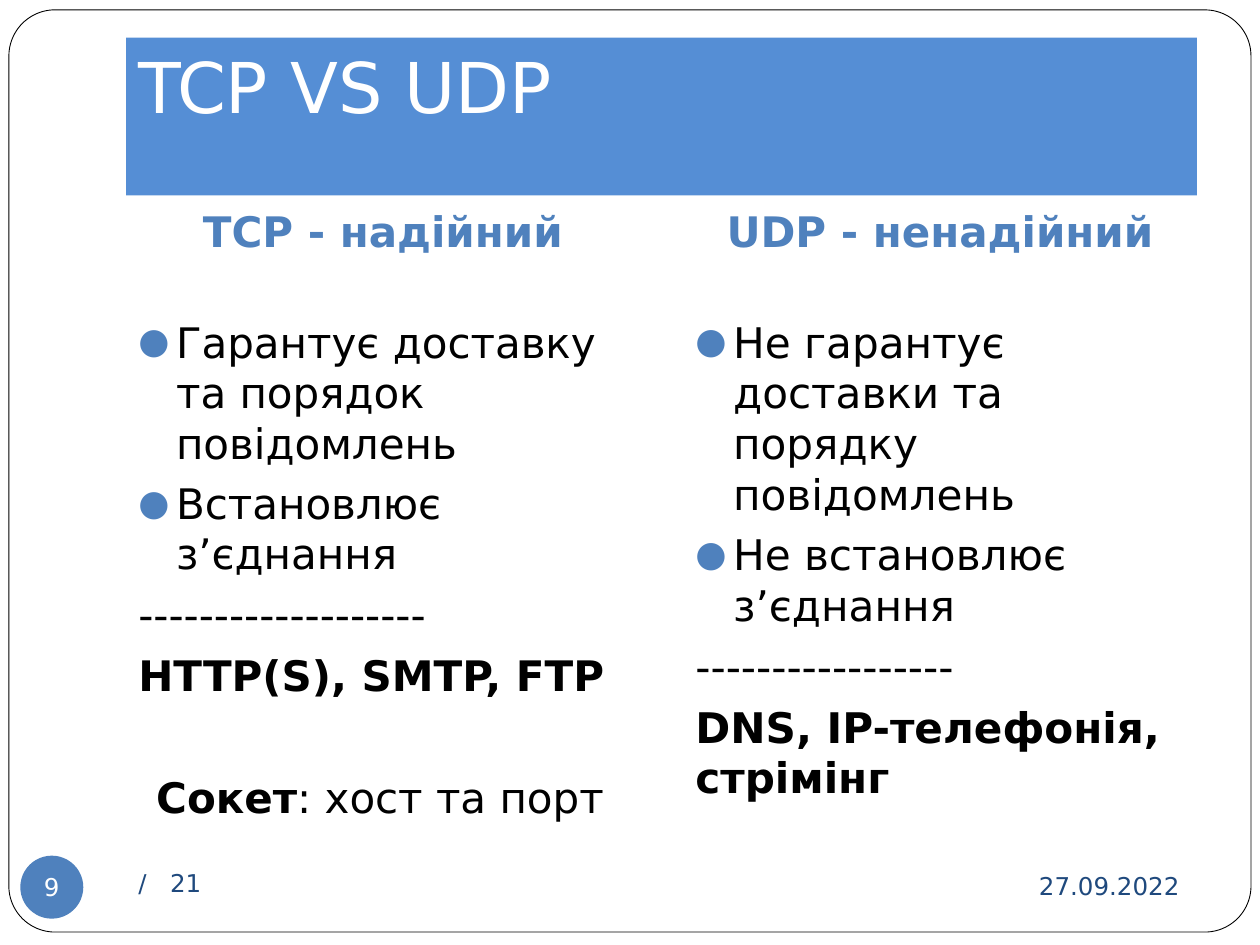
from dataclasses import dataclass

from lxml.etree import SubElement
from pptx import Presentation
from pptx.dml.color import RGBColor
from pptx.enum.shapes import MSO_SHAPE as Shape
from pptx.enum.text import MSO_ANCHOR as Anchor, MSO_AUTO_SIZE as AutoSize, PP_ALIGN as Align
from pptx.oxml.ns import qn
from pptx.util import Cm, Pt

FONT = "DejaVu Sans"
WHITE = RGBColor(0xFF, 0xFF, 0xFF)
BLACK = RGBColor(0x00, 0x00, 0x00)
BANNER = RGBColor(0x55, 0x8E, 0xD5)
ACCENT = RGBColor(0x4F, 0x81, 0xBD)
NAVY = RGBColor(0x1F, 0x49, 0x7D)
LEFT, COLUMN_WIDTH, COLUMN_STEP = 2.54, 10.36, 11.23


@dataclass
class Area:
    left: float
    top: float
    width: float
    height: float

    def lengths(self) -> list:
        return [Cm(value) for value in (self.left, self.top, self.width, self.height)]


@dataclass
class Column:
    heading: str
    points: list[str]
    divider: str
    protocols: str
    size: float


COLUMNS = [
    Column("TCP - надійний",
           ["Гарантує доставку та порядок повідомлень", "Встановлює з’єднання"],
           "-" * 19, "HTTP(S), SMTP, FTP", 24),
    Column("UDP - ненадійний",
           ["Не гарантує доставки та порядку повідомлень", "Не встановлює з’єднання"],
           "-" * 17, "DNS, IP-телефонія, стрімінг", 24.1),
]


def apply(target, values: dict) -> None:
    for name, value in values.items():
        setattr(target, name, value)


def write(para, text: str, size: float, color: RGBColor, bold: bool = False) -> None:
    span = para.add_run()
    span.text = text
    apply(span.font, {"name": FONT, "size": Pt(size), "bold": bold})
    span.font.color.rgb = color


def add_box(page, area: Area, anchor=Anchor.TOP):
    frame = page.shapes.add_textbox(*area.lengths()).text_frame
    apply(frame, {"word_wrap": True, "vertical_anchor": anchor})
    return frame


def add_label(page, area: Area, text: str, size: float, color: RGBColor,
              align=Align.LEFT, anchor=Anchor.TOP, bold: bool = False):
    para = add_box(page, area, anchor).paragraphs[0]
    para.alignment = align
    write(para, text, size, color, bold)
    return para


def add_bullet(para) -> None:
    properties = para._p.get_or_add_pPr()
    properties.set("marL", str(Cm(0.76)))
    properties.set("indent", str(-Cm(0.76)))
    color = SubElement(properties, qn("a:buClr"))
    SubElement(color, qn("a:srgbClr"), val=str(ACCENT))
    SubElement(properties, qn("a:buSzPct"), val="85000")
    SubElement(properties, qn("a:buFont"), typeface=FONT)
    SubElement(properties, qn("a:buChar"), char="●")


def add_tab(para, position: float) -> None:
    stops = SubElement(para._p.get_or_add_pPr(), qn("a:tabLst"))
    SubElement(stops, qn("a:tab"), pos=str(Cm(position)), algn="l")


def add_preset(page, kind, area: Area, fill: RGBColor):
    shape = page.shapes.add_shape(kind, *area.lengths())
    shape.shadow.inherit = False
    shape.fill.solid()
    shape.fill.fore_color.rgb = fill
    return shape


def add_border(page) -> None:
    border = add_preset(page, Shape.ROUNDED_RECTANGLE, Area(0.18, 0.2, 25.04, 18.59), WHITE)
    border.adjustments[0] = 0.05
    border.line.color.rgb = BLACK
    border.line.width = Pt(0.5)


def format_title(page, text: str) -> None:
    title = page.shapes.title
    page.shapes._spTree.append(title._element)
    apply(title, dict(zip(("left", "top", "width", "height"),
                          Area(LEFT, 0.76, 21.59, 3.18).lengths())))
    title.fill.solid()
    title.fill.fore_color.rgb = BANNER
    apply(title.text_frame, {"vertical_anchor": Anchor.TOP, "word_wrap": True,
                             "auto_size": AutoSize.NONE, "margin_bottom": Cm(0.25)})
    para = title.text_frame.paragraphs[0]
    para.alignment = Align.LEFT
    write(para, text, 40, WHITE)


def add_column(page, column: Column, left: float) -> None:
    add_label(page, Area(left, 4.01, COLUMN_WIDTH, 2.11), column.heading, 24, ACCENT,
              Align.CENTER, bold=True)
    frame = add_box(page, Area(left, 6.25, COLUMN_WIDTH, 8.69))
    for index, text in enumerate([*column.points, column.divider, column.protocols]):
        para = frame.add_paragraph() if index else frame.paragraphs[0]
        if text in column.points:
            add_bullet(para)
        if index:
            para.space_before = Pt(5.8)
        write(para, text, column.size, BLACK, text == column.protocols)


def add_page_badge(page, number: str) -> None:
    badge = add_preset(page, Shape.OVAL, Area(0.41, 17.25, 1.27, 1.27), ACCENT)
    badge.line.fill.background()
    frame = badge.text_frame
    apply(frame, {"margin_left": 0, "margin_top": 0, "margin_right": 0, "margin_bottom": 0,
                  "word_wrap": False, "vertical_anchor": Anchor.MIDDLE})
    frame.paragraphs[0].alignment = Align.CENTER
    write(frame.paragraphs[0], number, 14, WHITE)


def main() -> None:
    deck = Presentation()
    apply(deck, {"slide_width": Cm(25.4), "slide_height": Cm(19.05)})
    page = deck.slides.add_slide(deck.slide_layouts[5])
    add_border(page)
    format_title(page, "TCP VS UDP")
    for index, column in enumerate(COLUMNS):
        add_column(page, column, LEFT + index * COLUMN_STEP)
    socket = add_label(page, Area(2.9, 15.42, 19.69, 1.27), "Сокет", 24, BLACK, bold=True)
    write(socket, ": хост та порт", 24, BLACK)
    add_label(page, Area(17.15, 17.2, 6.88, 1.32), "27.09.2022", 14, NAVY,
              Align.RIGHT, Anchor.MIDDLE)
    total = add_label(page, Area(LEFT, 17.15, 11, 1.27), "/\t21", 14, NAVY,
                      anchor=Anchor.MIDDLE)
    add_tab(total, 0.64)
    add_page_badge(page, "9")
    deck.save("out.pptx")


if __name__ == "__main__":
    main()
